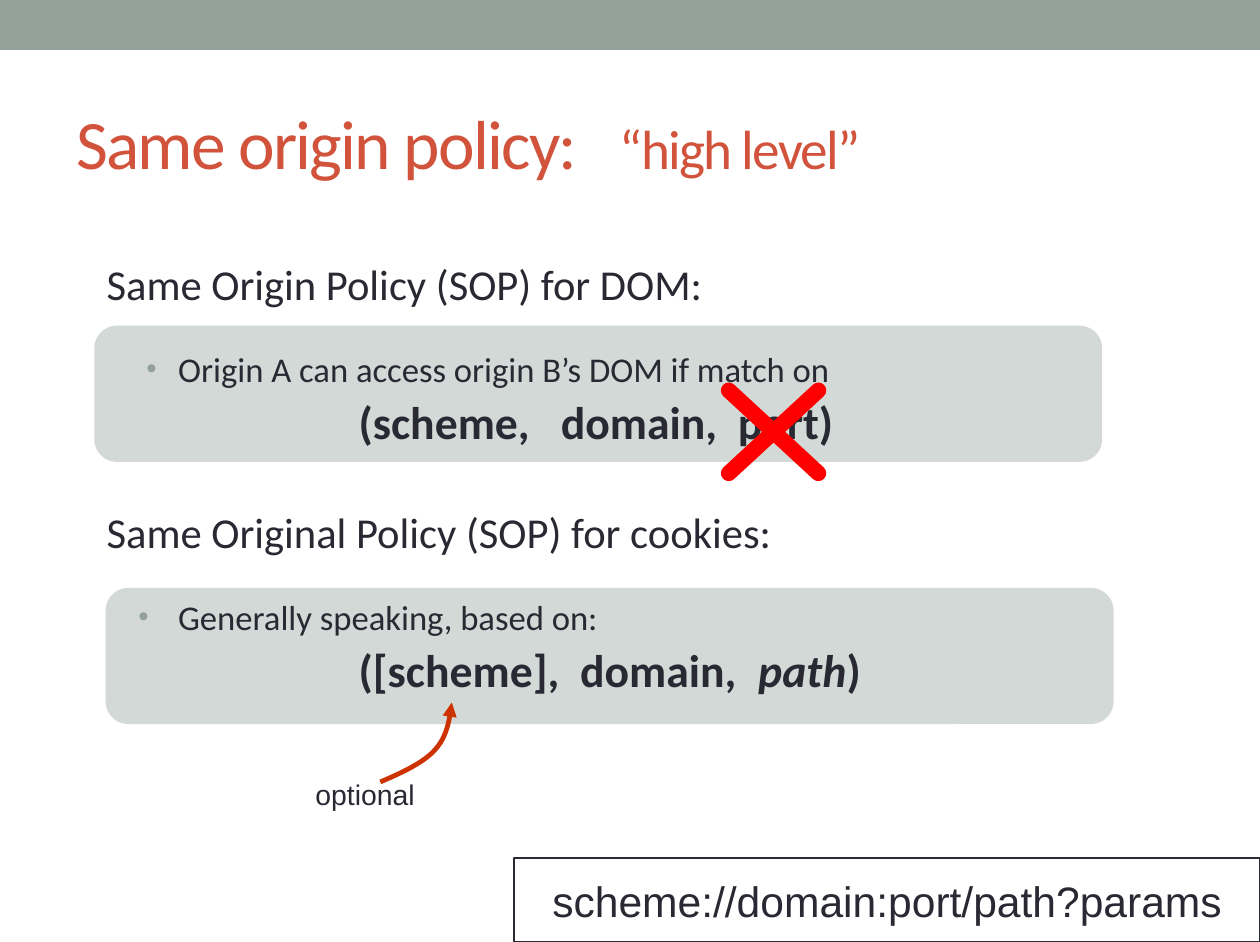
from dataclasses import dataclass

from lxml.etree import SubElement
from pptx import Presentation
from pptx.dml.color import RGBColor
from pptx.enum.shapes import MSO_CONNECTOR, MSO_SHAPE
from pptx.enum.text import MSO_ANCHOR, MSO_AUTO_SIZE, PP_ALIGN
from pptx.oxml.ns import qn
from pptx.util import Inches, Pt

SLIDE_WIDTH, SLIDE_HEIGHT = Inches(11.1), Inches(8.3)


@dataclass(frozen=True)
class Theme:
    sage: str = "93A299"
    ink: str = "292934"
    title: str = "D2533C"
    arrow: str = "CC3300"
    cross: str = "FF0000"
    body_font: str = "Calibri"
    label_font: str = "Arial"
    title_size: int = 44
    subtitle_size: int = 35
    formula_size: int = 29
    heading_size: int = 27
    bullet_size: int = 22
    label_size: int = 18


@dataclass(frozen=True)
class Box:
    """Left, top, width and height in percent of the slide."""
    left: float
    top: float
    width: float
    height: float

    def lengths(self):
        return (across(self.left), down(self.top), across(self.width), down(self.height))


@dataclass(frozen=True)
class Policy:
    card: Box
    text_top: float
    heading: str
    bullet: str
    bullet_hang: float
    formula: tuple[str, ...]
    italic_part: str
    tab_stops: tuple[float, ...]


THEME = Theme()
POLICIES = (
    Policy(Box(7.48, 34.58, 80, 14.46), 26.63, "Same Origin Policy (SOP) for DOM:",
           "Origin A can access origin B’s DOM if match on", 0.28,
           ("\t(scheme,\tdomain,\tport)",), "", (20, 36.04, 50.09)),
    Policy(Box(8.38, 62.41, 80, 14.46), 52.95, "Same Original Policy (SOP) for cookies:",
           "Generally speaking, based on:", 0.35,
           ("\t([scheme],\tdomain,\t", "path", ")"), "path", (20, 37.57, 51.71)),
)
CURVES = (
    ((30.18, 83.01), (31.89, 82.05), (33.6, 80.96), (34.5, 79.64)),
    ((34.5, 79.64), (35.5, 78.19), (35.68, 76.39), (35.86, 74.58)),
)
CURVE_STEPS = 12


def across(percent: float) -> int:
    return int(SLIDE_WIDTH * percent / 100)


def down(percent: float) -> int:
    return int(SLIDE_HEIGHT * percent / 100)


def format_run(run, size, color=THEME.ink, font=THEME.body_font, bold=False, italic=False) -> None:
    run.font.size = Pt(size)
    run.font.name = font
    run.font.color.rgb = RGBColor.from_string(color)
    run.font.bold = bold
    run.font.italic = italic


def set_insets(text_frame) -> None:
    text_frame.margin_left = text_frame.margin_right = Inches(0.11)
    text_frame.margin_top = text_frame.margin_bottom = Inches(0.06)


def add_tab_stops(paragraph, stops: tuple[float, ...]) -> None:
    tab_list = SubElement(paragraph._p.get_or_add_pPr(), qn("a:tabLst"))
    for stop in stops:
        SubElement(tab_list, qn("a:tab"), pos=str(across(stop)), algn="l")


def add_bullet(paragraph, hang: float) -> None:
    properties = paragraph._p.get_or_add_pPr()
    properties.set("marL", str(Inches(0.63)))
    properties.set("indent", str(-Inches(hang)))
    color = SubElement(properties, qn("a:buClr"))
    SubElement(color, qn("a:srgbClr"), val=THEME.sage)
    SubElement(properties, qn("a:buSzPct"), val="85000")
    SubElement(properties, qn("a:buFont"), typeface=THEME.label_font)
    SubElement(properties, qn("a:buChar"), char="•")


def add_panel(slide, box: Box, preset=MSO_SHAPE.RECTANGLE, opacity: int = 100):
    shape = slide.shapes.add_shape(preset, *box.lengths())
    shape.shadow.inherit = False
    shape.fill.solid()
    shape.fill.fore_color.rgb = RGBColor.from_string(THEME.sage)
    shape.line.fill.background()
    if opacity < 100:
        color = shape.fill._xPr.find(".//" + qn("a:srgbClr"))
        SubElement(color, qn("a:alpha"), val=str(opacity * 1000))
    return shape


def add_title(slide) -> None:
    title = slide.shapes.title
    title.left, title.top, title.width, title.height = Box(5.05, 7.83, 90, 14.46).lengths()
    text_frame = title.text_frame
    set_insets(text_frame)
    text_frame.vertical_anchor = MSO_ANCHOR.MIDDLE
    text_frame.auto_size = MSO_AUTO_SIZE.NONE
    paragraph = text_frame.paragraphs[0]
    paragraph.alignment = PP_ALIGN.LEFT
    add_tab_stops(paragraph, (43.15,))
    for text, size in (("Same origin policy:\t", THEME.title_size),
                       ("“high level”", THEME.subtitle_size)):
        run = paragraph.add_run()
        run.text = text
        format_run(run, size, THEME.title)
        run.font._element.set("spc", "-110")


def add_policy_text(slide, policy: Policy) -> None:
    box = Box(7.48, policy.text_top, 87.48, 21.69)
    text_frame = slide.shapes.add_textbox(*box.lengths()).text_frame
    text_frame.word_wrap = True
    set_insets(text_frame)
    heading = text_frame.paragraphs[0]
    heading.text = policy.heading
    format_run(heading.runs[0], THEME.heading_size)

    bullet = text_frame.add_paragraph()
    bullet.text = policy.bullet
    bullet.space_before = Pt(13.3)
    bullet.line_spacing = Pt(37.7)
    add_bullet(bullet, policy.bullet_hang)
    format_run(bullet.runs[0], THEME.bullet_size)

    formula = text_frame.add_paragraph()
    formula.line_spacing = Pt(37.7)
    add_tab_stops(formula, policy.tab_stops)
    for part in policy.formula:
        run = formula.add_run()
        run.text = part
        format_run(run, THEME.formula_size, bold=True, italic=part == policy.italic_part)


def add_optional_label(slide) -> None:
    box = Box(24.14, 81.93, 9.82, 4.82)
    text_frame = slide.shapes.add_textbox(*box.lengths()).text_frame
    text_frame.word_wrap = False
    text_frame.text = "optional"
    format_run(text_frame.paragraphs[0].runs[0], THEME.label_size, font=THEME.label_font)


def curve_point(curve, share: float) -> tuple[int, int]:
    """Point of a cubic Bezier curve at a share of its course."""
    rest = 1 - share
    weights = (rest ** 3, 3 * rest ** 2 * share, 3 * rest * share ** 2, share ** 3)
    return (across(sum(weight * point[0] for weight, point in zip(weights, curve))),
            down(sum(weight * point[1] for weight, point in zip(weights, curve))))


def add_curved_arrow(slide) -> None:
    points = [curve_point(curve, step / CURVE_STEPS)
              for curve in CURVES for step in range(1, CURVE_STEPS + 1)]
    builder = slide.shapes.build_freeform(*curve_point(CURVES[0], 0))
    builder.add_line_segments(points, close=False)
    arrow = builder.convert_to_shape()
    arrow.shadow.inherit = False
    arrow.fill.background()
    arrow.line.color.rgb = RGBColor.from_string(THEME.arrow)
    arrow.line.width = Pt(3)
    SubElement(arrow.line._get_or_add_ln(), qn("a:tailEnd"), type="triangle")


def add_address_box(slide) -> None:
    shape = add_panel(slide, Box(40.81, 91.08, 59.19, 8.92))
    shape.fill.background()
    shape.line.color.rgb = RGBColor.from_string(THEME.ink)
    shape.line.width = Pt(1)
    text_frame = shape.text_frame
    set_insets(text_frame)
    text_frame.word_wrap = False
    text_frame.vertical_anchor = MSO_ANCHOR.MIDDLE
    text_frame.text = "scheme://domain:port/path?params"
    text_frame.paragraphs[0].alignment = PP_ALIGN.CENTER
    format_run(text_frame.paragraphs[0].runs[0], THEME.heading_size, font=THEME.label_font)


def add_cross(slide) -> None:
    left, right, top, bottom = 57.84, 64.95, 41.45, 50.24
    for start, end in ((left, right), (right, left)):
        stroke = slide.shapes.add_connector(
            MSO_CONNECTOR.STRAIGHT, across(start), down(top), across(end), down(bottom))
        stroke.line.color.rgb = RGBColor.from_string(THEME.cross)
        stroke.line.width = Pt(10)
        stroke.line._get_or_add_ln().set("cap", "rnd")
        SubElement(stroke._element.spPr, qn("a:effectLst"))


def main() -> None:
    presentation = Presentation()
    presentation.slide_width, presentation.slide_height = SLIDE_WIDTH, SLIDE_HEIGHT
    slide = presentation.slides.add_slide(presentation.slide_layouts[5])
    add_panel(slide, Box(0, 0, 100, 5.3))
    add_title(slide)
    for policy in POLICIES:
        add_panel(slide, policy.card, MSO_SHAPE.ROUNDED_RECTANGLE, opacity=40)
        add_policy_text(slide, policy)
    add_optional_label(slide)
    add_curved_arrow(slide)
    add_address_box(slide)
    add_cross(slide)
    presentation.save("out.pptx")


if __name__ == "__main__":
    main()
